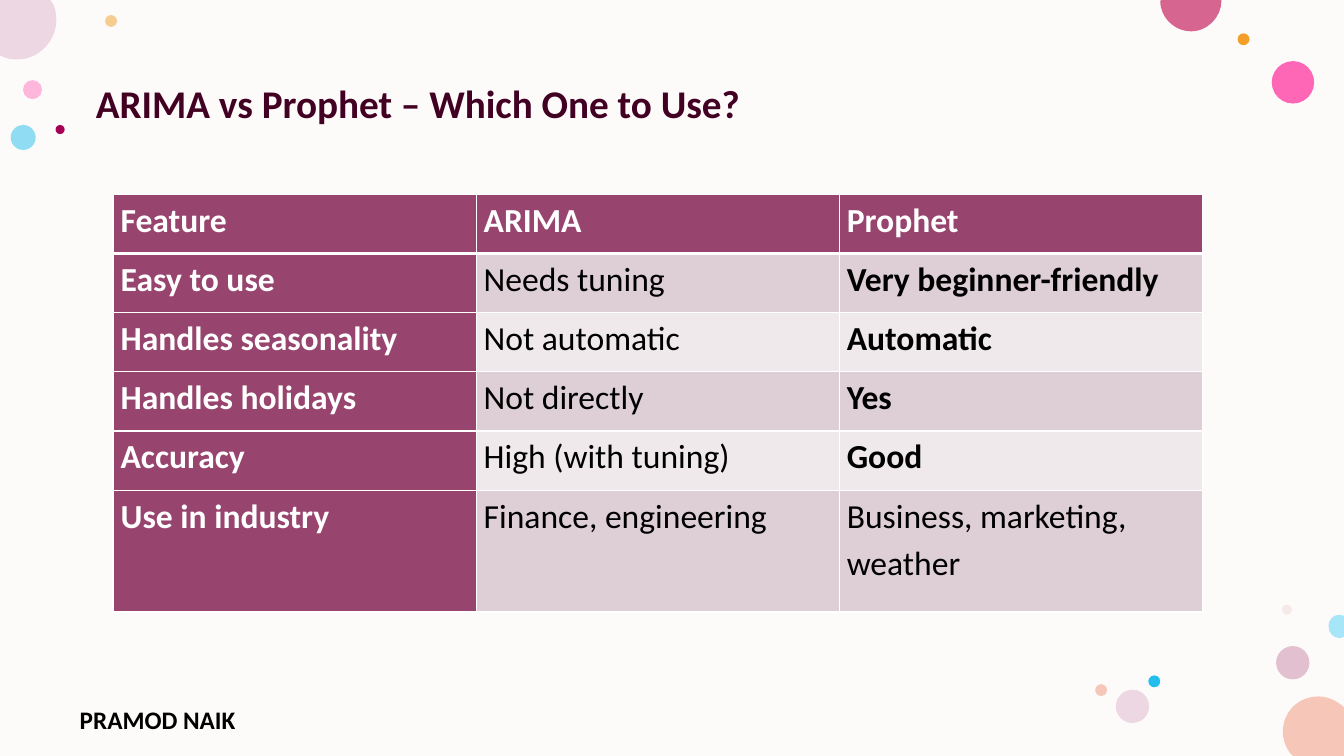
from lxml.etree import SubElement
from pptx import Presentation
from pptx.dml.color import RGBColor
from pptx.enum.shapes import MSO_SHAPE
from pptx.oxml.ns import qn
from pptx.util import Cm, Pt

SLIDE_WIDTH, SLIDE_HEIGHT = 33.87, 19.05
FONT = "Calibri"
BACKGROUND, PLUM, TITLE_COLOR = "FDFBF9", "97446E", "420023"
BLACK, WHITE = "000000", "FFFFFF"
BANDS = ("DDCFD5", "EFE9EB")

TITLE = "ARIMA vs Prophet – Which One to Use?"
AUTHOR = "PRAMOD NAIK"
ROWS = [
    ("Feature", "ARIMA", "Prophet"),
    ("Easy to use", "Needs tuning", "Very beginner-friendly"),
    ("Handles seasonality", "Not automatic", "Automatic"),
    ("Handles holidays", "Not directly", "Yes"),
    ("Accuracy", "High (with tuning)", "Good"),
    ("Use in industry", "Finance, engineering", "Business, marketing, weather"),
]
TABLE_LEFT, TABLE_TOP, COLUMN_WIDTH = 2.85, 4.9, 9.15
ROW_HEIGHT, LAST_ROW_HEIGHT = 1.49, 3.07

# left, top, diameter, color, opacity in percent
DOTS = [
    (0.58, 2.02, 0.48, "FF75BD", 50),
    (2.65, 0.38, 0.3, "F39E29", 50),
    (32.16, 16.28, 0.84, "C987A8", 50),
    (0.27, 3.15, 0.63, "24BEEE", 50),
    (32.05, 1.54, 1.07, "FF2F9C", 72),
    (31.19, 0.84, 0.3, "F39E29", 100),
    (32.31, 15.24, 0.25, "E3BEBE", 28),
    (28.94, 17.02, 0.3, "24BEEE", 100),
    (28.12, 17.38, 0.84, "EDD7E2", 100),
    (27.6, 17.24, 0.3, "F6C7B9", 100),
    (1.4, 3.15, 0.23, "A40056", 100),
]
# color, then outline steps: a point for a line, two controls and a point for a curve
EDGE_DOTS = [
    ("F6C7B9", [
        [(33.22, 17.55)], [(33.47, 17.55), (33.69, 17.66), (33.87, 17.82)],
        [(33.87, 19.05)], [(32.59, 19.05)], [(32.53, 19)],
        [(32.41, 18.85), (32.33, 18.64), (32.33, 18.44)],
        [(32.33, 17.93), (32.73, 17.55), (33.22, 17.55)]]),
    ("EDD7E2", [
        [(0, 0)], [(1.27, 0)], [(1.35, 0.13)],
        [(1.4, 0.23), (1.42, 0.36), (1.42, 0.51)],
        [(1.42, 1.04), (0.97, 1.5), (0.43, 1.5)],
        [(0.28, 1.5), (0.15, 1.47), (0.05, 1.42)], [(0, 1.4)]]),
    ("D6658F", [
        [(29.26, 0)], [(30.78, 0)], [(30.78, 0.03)],
        [(30.78, 0.43), (30.43, 0.79), (30.02, 0.79)],
        [(29.59, 0.79), (29.24, 0.43), (29.24, 0.03)]]),
    ("A7E5F8", [
        [(33.76, 15.49)], [(33.87, 15.52)], [(33.87, 16.05)], [(33.76, 16.08)],
        [(33.6, 16.08), (33.48, 15.95), (33.48, 15.77)],
        [(33.48, 15.62), (33.6, 15.49), (33.76, 15.49)]]),
]


def paint(fill, color):
    fill.solid()
    fill.fore_color.rgb = RGBColor.from_string(color)


def style_shape(shape, color, opacity=100):
    shape.shadow.inherit = False
    shape.line.fill.background()
    paint(shape.fill, color)
    if opacity < 100:
        color_element = shape.fill._xPr.find(qn("a:solidFill"))[0]
        SubElement(color_element, qn("a:alpha"), val=str(opacity * 1000))


def add_edge_dot(shapes, color, steps):
    """Draw a circle cut off at the slide edges, with true curves."""
    ends = [(Cm(step[-1][0]), Cm(step[-1][1])) for step in steps]
    builder = shapes.build_freeform(*ends[0])
    builder.add_line_segments(ends[1:])
    shape = builder.convert_to_shape()
    lines = list(shape._element.iter(qn("a:lnTo")))
    for line, step in zip(lines, steps[1:]):
        if len(step) == 1:
            continue
        curve = line.makeelement(qn("a:cubicBezTo"))
        for x, y in step:
            SubElement(curve, qn("a:pt"), x=str(Cm(x) - shape.left), y=str(Cm(y) - shape.top))
        line.getparent().replace(line, curve)
    style_shape(shape, color)


def write(paragraph, text, size, color, bold):
    paragraph.text = text
    paragraph.font.name = FONT
    paragraph.font.size = Pt(size)
    paragraph.font.bold = bold
    paragraph.font.color.rgb = RGBColor.from_string(color)


def add_text(shapes, box, text, size, color):
    frame = shapes.add_textbox(*map(Cm, box)).text_frame
    frame.word_wrap = True
    write(frame.paragraphs[0], text, size, color, True)
    return frame.paragraphs[0]


def add_borders(cell, top, bottom):
    """Give a cell white borders; top and bottom are widths in points."""
    properties = cell._tc.get_or_add_tcPr()
    for side, width in (("L", 1), ("R", 1), ("T", top), ("B", bottom)):
        line = SubElement(properties, qn(f"a:ln{side}"), w=str(Pt(width)))
        SubElement(SubElement(line, qn("a:solidFill")), qn("a:srgbClr"), val=WHITE)


def add_comparison_table(shapes):
    column_count = len(ROWS[0])
    heights = [ROW_HEIGHT] * (len(ROWS) - 1) + [LAST_ROW_HEIGHT]
    table = shapes.add_table(
        len(ROWS), column_count, Cm(TABLE_LEFT), Cm(TABLE_TOP),
        Cm(COLUMN_WIDTH * column_count), Cm(sum(heights)),
    ).table
    for row, height in zip(table.rows, heights):
        row.height = Cm(height)
    for row_index, texts in enumerate(ROWS):
        for column_index, text in enumerate(texts):
            cell = table.cell(row_index, column_index)
            is_heading = row_index == 0 or column_index == 0
            is_last = row_index == len(ROWS) - 1
            bold = is_heading or (column_index == 2 and not is_last)
            cell.margin_left = cell.margin_right = Cm(0.19)
            cell.margin_top = cell.margin_bottom = 0
            add_borders(cell, 3 if row_index == 1 else 1, 3 if row_index == 0 else 1)
            paint(cell.fill, PLUM if is_heading else BANDS[(row_index - 1) % 2])
            paragraph = cell.text_frame.paragraphs[0]
            paragraph.line_spacing = 1.15
            paragraph.space_after = Pt(8)
            write(paragraph, text, 24, WHITE if is_heading else BLACK, bold)


def main():
    presentation = Presentation()
    presentation.slide_width = Cm(SLIDE_WIDTH)
    presentation.slide_height = Cm(SLIDE_HEIGHT)
    slide = presentation.slides.add_slide(presentation.slide_layouts[6])
    backdrop = slide.shapes.add_shape(
        MSO_SHAPE.RECTANGLE, 0, 0, presentation.slide_width, presentation.slide_height)
    style_shape(backdrop, BACKGROUND)
    for left, top, diameter, color, opacity in DOTS:
        dot = slide.shapes.add_shape(
            MSO_SHAPE.OVAL, Cm(left), Cm(top), Cm(diameter), Cm(diameter))
        style_shape(dot, color, opacity)
    for color, steps in EDGE_DOTS:
        add_edge_dot(slide.shapes, color, steps)
    add_text(slide.shapes, (1.76, 17.63, 6.22, 0.81), AUTHOR, 18, BLACK)
    title = add_text(slide.shapes, (2.17, 2.01, 29.62, 15.16), TITLE, 28, TITLE_COLOR)
    title.line_spacing = 0.9
    add_comparison_table(slide.shapes)
    presentation.save("out.pptx")


if __name__ == "__main__":
    main()
